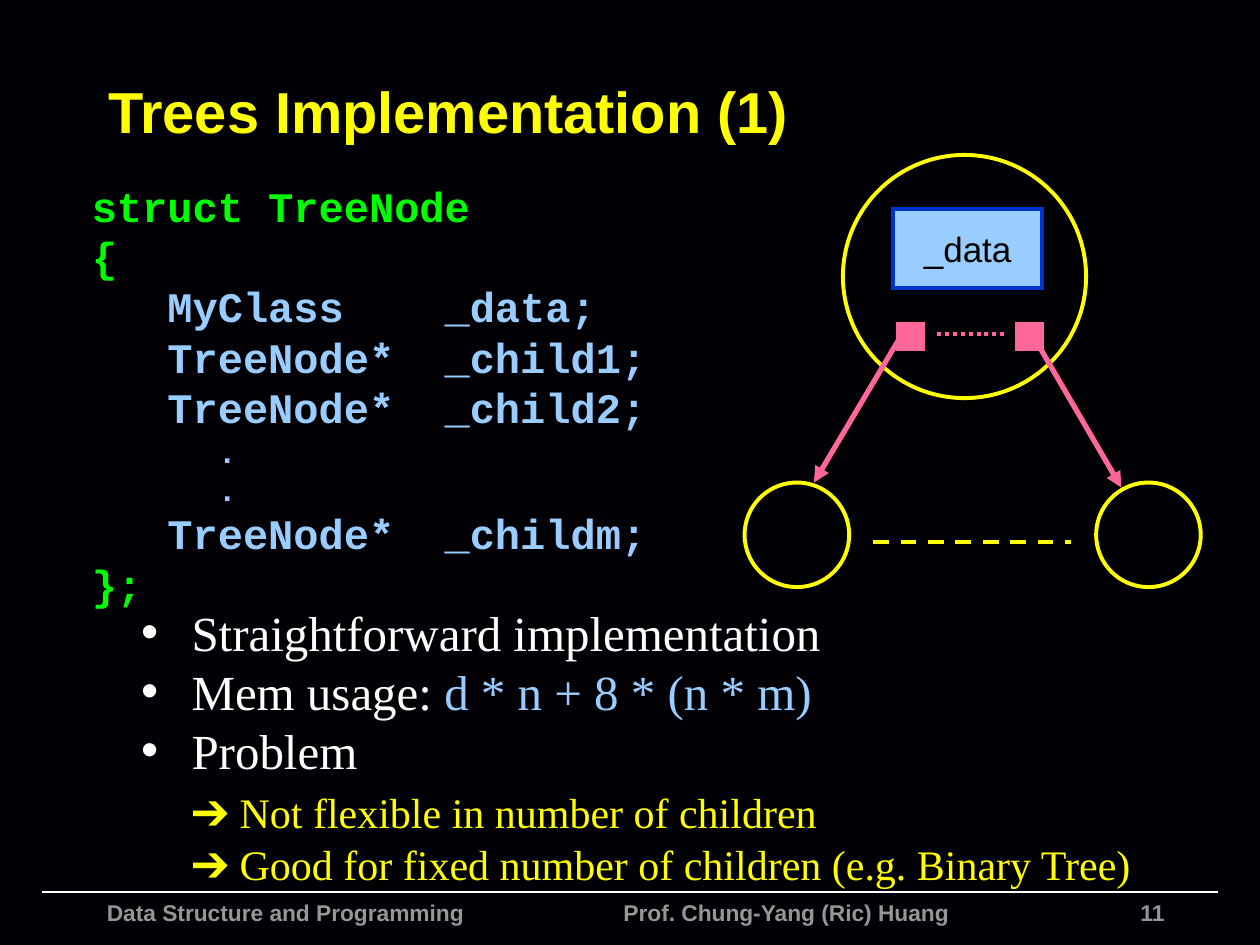
import pptx
import pptx.util
import pptx.dml.color
import pptx.enum.dml
import pptx.enum.shapes
import pptx.enum.text
import pptx.oxml
import pptx.oxml.ns
from pptx.util import Inches, Pt

COLORS = {"night": "010004", "white": "FFFFFF", "gray": "969696", "yellow": "FFFF00",
          "green": "00FF00", "sky": "99CCFF", "blue": "0033CC", "pink": "FF6699",
          "black": "000000"}
ALIGN = pptx.enum.text.PP_ALIGN
ANCHOR = pptx.enum.text.MSO_ANCHOR
SHAPE = pptx.enum.shapes.MSO_SHAPE
DASH = pptx.enum.dml.MSO_LINE


def rgb(name):
    return pptx.dml.color.RGBColor.from_string(COLORS[name])


def add_run(paragraph, text, font, size, color, bold=False):
    run = paragraph.add_run()
    run.text = text
    run.font.name = font
    run.font.size = Pt(size)
    run.font.bold = bold
    run.font.color.rgb = rgb(color)


deck = pptx.Presentation()
deck.slide_width, deck.slide_height = Inches(10), Inches(7.5)
slide = deck.slides.add_slide(deck.slide_layouts[1])
slide.background.fill.solid()
slide.background.fill.fore_color.rgb = rgb("night")
shapes = slide.shapes

# Title
title = shapes.title
title.left, title.top, title.width, title.height = map(Inches, (0.76, 0.37, 8.84, 1.01))
title.text_frame.auto_size = pptx.enum.text.MSO_AUTO_SIZE.NONE
title.text_frame.vertical_anchor = ANCHOR.MIDDLE
title.text_frame.paragraphs[0].alignment = ALIGN.LEFT
add_run(title.text_frame.paragraphs[0], "Trees Implementation (1)", "Arial", 33, "yellow", True)

# Struct definition: text, indent, size, color
code = shapes.add_textbox(Inches(0.63), Inches(1.38), Inches(4.88), Inches(3.58)).text_frame
code.word_wrap = True
code_lines = [
    ("struct TreeNode", 0, 24, "green"),
    ("{", 0, 24, "green"),
    ("MyClass\t_data;", 0.6, 24, "sky"),
    ("TreeNode*\t_child1;", 0.6, 24, "sky"),
    ("TreeNode*\t_child2;", 0.6, 24, "sky"),
    (".", 1, 18, "sky"),
    (".", 1, 18, "sky"),
    ("TreeNode*\t_childm;", 0.6, 24, "sky"),
    ("};", 0, 24, "green"),
]
tabbed = []
for i, (text, indent, size, color) in enumerate(code_lines):
    line = code.paragraphs[0] if i == 0 else code.add_paragraph()
    line.line_spacing = Pt(size * 1.2)
    line._p.get_or_add_pPr().set("marL", str(Inches(indent)))
    add_run(line, text, "Courier New", size, color, True)
    if "\t" in text:
        tabbed.append((line, 2.2))

# Remarks: runs, size, line height, bulleted
remarks = slide.placeholders[1]
remarks.left, remarks.top, remarks.width, remarks.height = map(Inches, (1.02, 4.73, 8.39, 2.39))
remarks.text_frame.auto_size = pptx.enum.text.MSO_AUTO_SIZE.NONE
remark_lines = [
    ([("Straightforward implementation", "white")], 28, 33.7, True),
    ([("Mem usage: ", "white"), ("d * n + 8 * (n * m)", "sky")], 28, 33.7, True),
    ([("Problem", "white")], 28, 33.7, True),
    ([("➔ Not flexible in number of children", "yellow")], 24, 32.8, False),
    ([("➔ Good for fixed number of children (e.g. Binary Tree)", "yellow")], 24, 29.7, False),
]
for i, (runs, size, height, bulleted) in enumerate(remark_lines):
    remark = remarks.text_frame.paragraphs[0] if i == 0 else remarks.text_frame.add_paragraph()
    remark.line_spacing = Pt(height)
    remark.space_before = Pt(0)
    props = remark._p.get_or_add_pPr()
    props.set("marL", str(Inches(0.4)))
    props.set("indent", str(Inches(-0.4 if bulleted else 0)))
    bullet = pptx.oxml.ns.qn("a:buChar" if bulleted else "a:buNone")
    props.append(props.makeelement(bullet, {"char": "•"} if bulleted else {}))
    for text, color in runs:
        add_run(remark, text, "Times New Roman", size, color)

# Tree nodes, data field and child pointers
node_parts = [
    (SHAPE.OVAL, 6.69, 1.23, 1.93, 1.93, None, "yellow"),
    (SHAPE.OVAL, 5.91, 3.83, 0.83, 0.83, None, "yellow"),
    (SHAPE.OVAL, 8.7, 3.83, 0.83, 0.83, None, "yellow"),
    (SHAPE.RECTANGLE, 7.13, 2.57, 0.2, 0.2, "pink", "pink"),
    (SHAPE.RECTANGLE, 8.07, 2.57, 0.2, 0.2, "pink", "pink"),
    (SHAPE.RECTANGLE, 7.09, 1.66, 1.18, 0.63, "sky", "blue"),
]
for kind, left, top, width, height, fill, outline in node_parts:
    part = shapes.add_shape(kind, Inches(left), Inches(top), Inches(width), Inches(height))
    part.shadow.inherit = False
    if fill:
        part.fill.solid()
        part.fill.fore_color.rgb = rgb(fill)
    else:
        part.fill.background()
    part.line.color.rgb = rgb(outline)
    part.line.width = Pt(2.25)
    border = part.line._get_or_add_ln()
    border.append(border.makeelement(pptx.oxml.ns.qn("a:miter"), {"lim": "800000"}))

# The data field is the last part drawn
data_text = part.text_frame
data_text.word_wrap = False
data_text.margin_left = data_text.margin_right = Inches(0.05)
data_text.vertical_anchor = ANCHOR.MIDDLE
data_text.paragraphs[0].alignment = ALIGN.CENTER
add_run(data_text.paragraphs[0], "_data", "Arial", 20, "black")

# Footer rule, ellipsis lines and child arrows
links = [
    (0.33, 7.08, 9.67, 7.08, "white", 1, None, False),
    (6.93, 4.3, 8.5, 4.3, "yellow", 2.25, DASH.DASH, False),
    (7.44, 2.65, 7.99, 2.65, "pink", 2.25, DASH.ROUND_DOT, False),
    (7.16, 2.65, 6.46, 3.83, "pink", 3, None, True),
    (8.19, 2.65, 8.9, 3.87, "pink", 3, None, True),
]
for x1, y1, x2, y2, color, weight, dash, arrow in links:
    link = shapes.add_connector(pptx.enum.shapes.MSO_CONNECTOR.STRAIGHT,
                                Inches(x1), Inches(y1), Inches(x2), Inches(y2))
    link.line.color.rgb = rgb(color)
    link.line.width = Pt(weight)
    if dash:
        link.line.dash_style = dash
    if arrow:
        stroke = link.line._get_or_add_ln()
        stroke.append(stroke.makeelement(pptx.oxml.ns.qn("a:tailEnd"), {"type": "triangle"}))
    link_props = link._element.spPr
    link_props.append(link_props.makeelement(pptx.oxml.ns.qn("a:effectLst"), {}))

# Footer
footers = [
    ("Data Structure and Programming\tProf. Chung-Yang (Ric) Huang", 0.75, 7.24, 0.42, ALIGN.LEFT),
    ("11", 6.17, 3.17, 0.18, ALIGN.RIGHT),
]
for text, left, width, height, align in footers:
    footer = shapes.add_textbox(Inches(left), Inches(7.08), Inches(width), Inches(height)).text_frame
    footer.word_wrap = True
    footer.paragraphs[0].alignment = align
    add_run(footer.paragraphs[0], text, "Arial", 13, "gray", True)
    if "\t" in text:
        tabbed.append((footer.paragraphs[0], 4.1))

# Tab stops for the member names and the footer author
for line, stop in tabbed:
    props = line._p.get_or_add_pPr()
    tabs = props.makeelement(pptx.oxml.ns.qn("a:tabLst"), {})
    tabs.append(tabs.makeelement(pptx.oxml.ns.qn("a:tab"), {"pos": str(Inches(stop)), "algn": "l"}))
    props.append(tabs)

deck.save("out.pptx")
